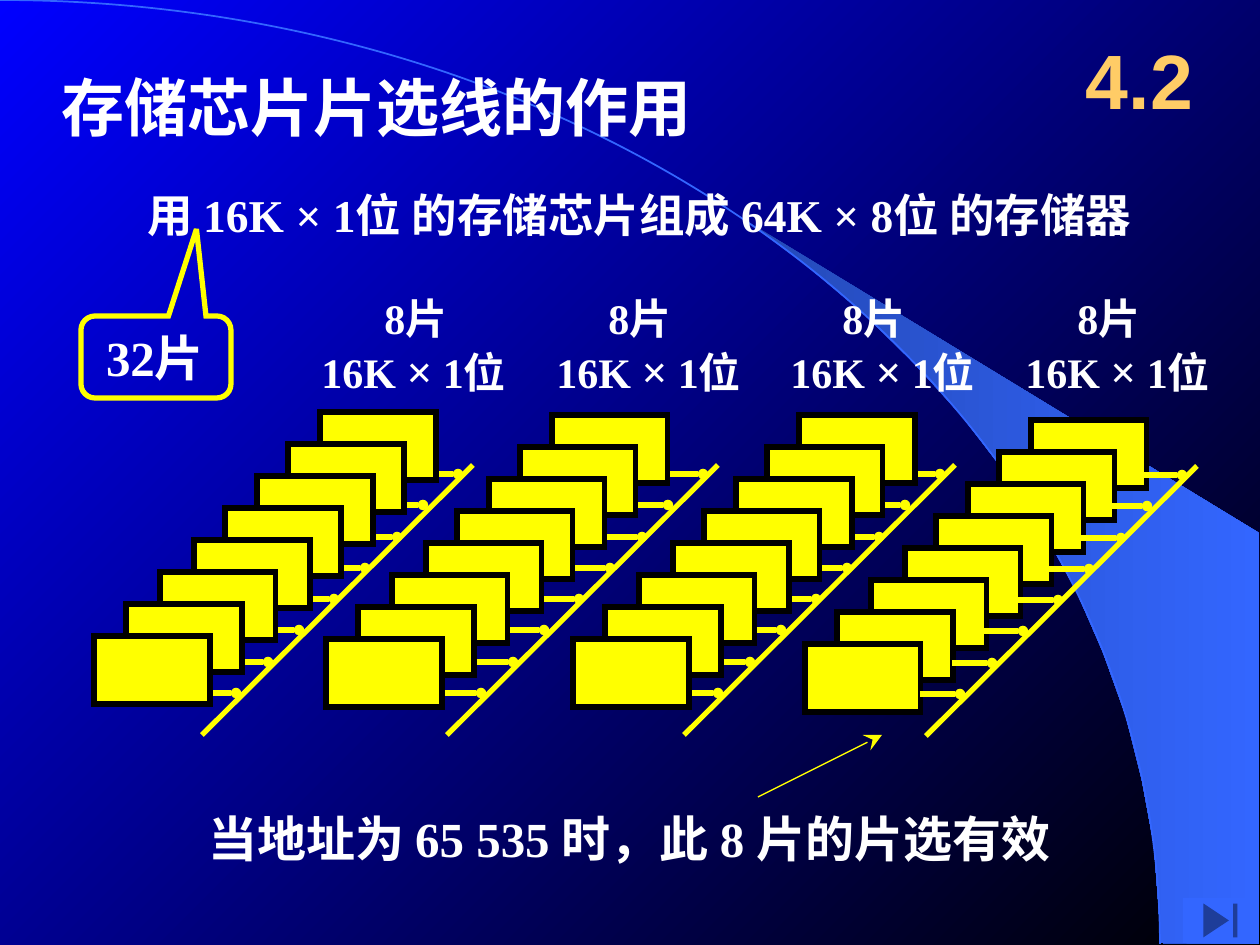
"""Build the slide on what the chip select lines of memory chips do."""
import math
from lxml import etree
from pptx import Presentation
from pptx import util as u
from pptx.dml.color import RGBColor
from pptx.enum import shapes, text
from pptx.oxml.ns import qn

px = u.Inches(1) // 126
colours = {
    "sky": "0000FF", "night": "000000", "dusk": "2449B6", "glow": "3366FF",
    "chip": "FFFF00", "words": "FFFFFF", "number": "FFCC66",
}
rgb = {name: RGBColor.from_string(value) for name, value in colours.items()}

deck = Presentation()
deck.slide_width, deck.slide_height = u.Inches(10), u.Inches(7.5)
slide = deck.slides.add_slide(deck.slide_layouts[6])
drawn = slide.shapes


def wire(x1, y1, x2, y2, weight, end=None, size="sm"):
    """Draw a yellow line, with an optional head at its end."""
    line = drawn.add_connector(
        shapes.MSO_CONNECTOR.STRAIGHT, x1 * px, y1 * px, x2 * px, y2 * px)
    line.line.color.rgb = rgb["chip"]
    line.line.width = u.Pt(weight)
    if end:
        outline = line.line._get_or_add_ln()
        etree.SubElement(outline, qn("a:tailEnd"), type=end, w=size, len=size)
    etree.SubElement(line._element.spPr, qn("a:effectLst"))


def write(paragraph, pieces, colour="words", font="Times New Roman"):
    """Fill a paragraph with bold (wording, size) pieces."""
    for wording, size in pieces:
        run = paragraph.add_run()
        run.text = wording
        run.font.size = u.Pt(size)
        run.font.name = font
        run.font.bold = True
        run.font.color.rgb = rgb[colour]


sky = slide.background.fill
sky.gradient()
sky.gradient_angle = 315
for stop, name in zip(sky.gradient_stops, ("sky", "night")):
    stop.color.rgb = rgb[name]

arc = []
for degrees in range(40, 91, 4):
    angle = math.radians(degrees)
    arc.append((round(1160 * math.sin(angle)), round(944 * (1 - math.cos(angle)))))

beam_path = drawn.build_freeform(1259, 944, scale=px)
beam_path.add_line_segments([(1259, 533), (742, 218)] + arc[1:] + [(1160, 943)])
beam = beam_path.convert_to_shape()
beam.shadow.inherit = False
beam.line.fill.background()
beam.fill.gradient()
for stop, name in zip(beam.fill.gradient_stops, ("dusk", "glow")):
    stop.color.rgb = rgb[name]
for direction in beam._element.iter(qn("a:lin")):
    direction.set("ang", "0")

horizon_path = drawn.build_freeform(0, 0, scale=px)
horizon_path.add_line_segments([(1160, 944)], close=False)
horizon = horizon_path.convert_to_shape()
horizon.shadow.inherit = False
horizon.fill.background()
horizon.line.color.rgb = rgb["glow"]
horizon.line.width = u.Pt(1)
for straight in list(horizon._element.iter(qn("a:lnTo"))):
    curve = etree.Element(qn("a:cubicBezTo"))
    for x, y in ((640, 0), (1160, 422), (1160, 944)):
        etree.SubElement(curve, qn("a:pt"), x=str(x * px), y=str(y * px))
    for point, corner in zip(curve, ((640, 0), (1160, 422), (1160, 944))):
        scale = int(straight[0].get("x")) / 1160
        point.set("x", str(round(corner[0] * scale)))
        point.set("y", str(round(corner[1] * scale)))
    straight.getparent().replace(straight, curve)

banks = [(320, 412), (552, 415), (799, 415), (1031, 420)]
buses = [(473, 465), (718, 465), (955, 465), (1197, 466)]
chip_shifts = [0, 32, 63, 95, 126, 160, 194, 226]
tap_shifts = [15, 50, 76, 108, 139, 174, 205, 237]

for layer in ("buses", "chips", "last bus"):
    if layer == "chips":
        for left, top in banks:
            for row, shift in enumerate(chip_shifts):
                chip = drawn.add_shape(
                    shapes.MSO_SHAPE.RECTANGLE, (left - shift) * px,
                    (top + 32 * row) * px, 116 * px, 68 * px)
                chip.shadow.inherit = False
                chip.fill.solid()
                chip.fill.fore_color.rgb = rgb["chip"]
                chip.line.color.rgb = rgb["night"]
                chip.line.width = u.Pt(3)
                etree.SubElement(chip.line._get_or_add_ln(), qn("a:miter"), lim="800000")
        continue
    for right, top in buses[:3] if layer == "buses" else buses[3:]:
        wire(right, top, right - 271, top + 270, 3)
        for row, shift in enumerate(tap_shifts):
            level = top + 9 + round(219 * row / 7)
            wire(right - shift - 40, level, right - shift, level, 3, "oval")

callout = drawn.add_shape(
    shapes.MSO_SHAPE.ROUNDED_RECTANGULAR_CALLOUT, 81 * px, 316 * px, 150 * px, 82 * px)
for place, value in enumerate((0.27, -1.56, 0.17)):
    callout.adjustments[place] = value
callout.shadow.inherit = False
callout.fill.background()
callout.line.color.rgb = rgb["chip"]
callout.line.width = u.Pt(3)
etree.SubElement(callout.line._get_or_add_ln(), qn("a:miter"), lim="800000")
callout.text_frame.margin_left = 21 * px
callout.text_frame.margin_right = 0
callout.text_frame.vertical_anchor = text.MSO_ANCHOR.MIDDLE
callout.text_frame.paragraphs[0].alignment = text.PP_ALIGN.LEFT
write(callout.text_frame.paragraphs[0], [("32片", 28)])

sentences = [
    (49, 62, 658, 88, "存储芯片片选线的作用", 36),
    (135, 181, 1072, 67, "用 16K × 1位 的存储芯片组成 64K × 8位 的存储器", 26),
    (196, 802, 907, 72, "当地址为 65 535 时，此 8 片的片选有效", 28),
]
for left, top, width, height, wording, size in sentences:
    sentence = drawn.add_textbox(left * px, top * px, width * px, height * px)
    sentence.text_frame.word_wrap = True
    write(sentence.text_frame.paragraphs[0], [(wording, size)])

wire(758, 797, 882, 735, 0.75, "stealth", "lg")

for left, indent in ((309, 63), (544, 52), (778, 52), (1013, 52)):
    label = drawn.add_textbox(left * px, 286 * px, 230 * px, 117 * px)
    label.text_frame.word_wrap = True
    count = label.text_frame.paragraphs[0]
    count._p.get_or_add_pPr().set("marL", str(indent * px))
    write(count, [("8片", 24)])
    write(label.text_frame.add_paragraph(), [("16K ", 24), ("×", 26), (" 1位", 24)])

section = drawn.add_textbox(1061 * px, 21 * px, 157 * px, 116 * px)
section.text_frame.word_wrap = True
section.text_frame.vertical_anchor = text.MSO_ANCHOR.MIDDLE
section.text_frame.paragraphs[0].alignment = text.PP_ALIGN.CENTER
write(section.text_frame.paragraphs[0], [("4.2", 44)], "number", "Arial")

end_button = drawn.add_shape(
    shapes.MSO_SHAPE.ACTION_BUTTON_END, 1183 * px, 898 * px, 75 * px, 45 * px)
end_button.shadow.inherit = False
end_button.fill.solid()
end_button.fill.fore_color.rgb = rgb["glow"]
end_button.line.fill.background()

deck.save("out.pptx")
